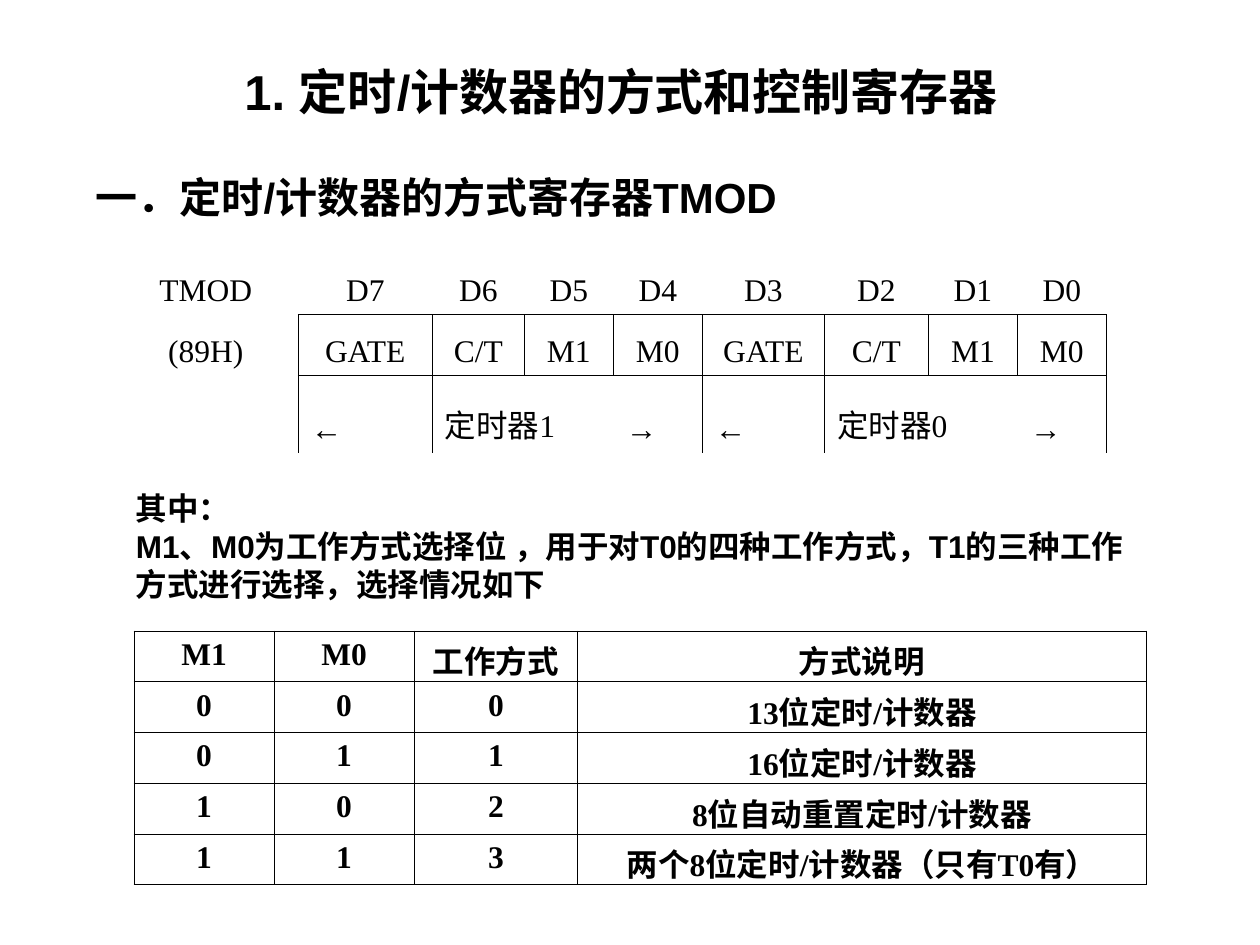
from lxml.etree import SubElement
from pptx import Presentation
from pptx.dml.color import RGBColor
from pptx.enum.text import MSO_ANCHOR, MSO_AUTO_SIZE, PP_ALIGN
from pptx.oxml.ns import qn
from pptx.util import Pt

BIT_NAMES = ["GATE", "C/T", "M1", "M0"]
REGISTER_ROWS = [
    ["TMOD"] + [f"D{bit}" for bit in range(7, -1, -1)],
    ["(89H)"] + BIT_NAMES * 2,
    ["", "←", "定时器1", "", "→", "←", "定时器0", "", "→"],
]
REGISTER_EDGES = [
    [""] + ["B"] * 8,
    ["R"] + ["LRTB"] * 8,
    ["R"] + ["LT", "T", "T", "RT"] * 2,
]
MODE_ROWS = [
    ["M1", "M0", "工作方式", "方式说明"],
    ["0", "0", "0", "13位定时/计数器"],
    ["0", "1", "1", "16位定时/计数器"],
    ["1", "0", "2", "8位自动重置定时/计数器"],
    ["1", "1", "3", "两个8位定时/计数器（只有T0有）"],
]


def color(value):
    return RGBColor.from_string(value)


class SlideBuilder:
    heading_font = "Arial"
    table_font = "Times New Roman"
    ink = "000000"
    plain_table = "{2D5ABB26-0587-4C30-8999-92F81FD0307C}"

    def __init__(self, slide):
        self.slide = slide

    def add_span(self, para, text, size, font, bold, align=PP_ALIGN.LEFT):
        para.alignment = align
        span = para.add_run()
        span.text = text
        span.font.size = Pt(size)
        span.font.name = font
        span.font.bold = bold
        span.font.color.rgb = color(self.ink)

    def fill_box(self, box, place, lines, size, wrap, padding=3.6):
        box.left, box.top, box.width, box.height = map(Pt, place)
        frame = box.text_frame
        frame.word_wrap = wrap
        frame.auto_size = MSO_AUTO_SIZE.SHAPE_TO_FIT_TEXT
        frame.vertical_anchor = MSO_ANCHOR.MIDDLE
        frame.margin_left = frame.margin_right = Pt(7.2)
        frame.margin_top = frame.margin_bottom = Pt(padding)
        for index, line in enumerate(lines):
            para = frame.add_paragraph() if index else frame.paragraphs[0]
            self.add_span(para, line, size, self.heading_font, True)

    def title(self, place, text, size):
        self.fill_box(self.slide.shapes.title, place, [text], size, False, 13.7)

    def text(self, place, lines, size, wrap=False):
        box = self.slide.shapes.add_textbox(*map(Pt, place))
        self.fill_box(box, place, lines, size, wrap)

    def borders(self, cell, edges):
        properties = cell._tc.get_or_add_tcPr()
        for position, edge in enumerate(edges):
            line = SubElement(properties, qn(f"a:ln{edge}"), w=str(Pt(0.45)))
            fill = SubElement(line, qn("a:solidFill"))
            SubElement(fill, qn("a:srgbClr"), val=self.ink)
            properties.insert(position, line)

    def table(self, corner, widths, heights, rows, edges, bold, anchor, merges=()):
        frame = self.slide.shapes.add_table(
            len(rows), len(widths), *map(Pt, (*corner, sum(widths), sum(heights))))
        table = frame.table
        table.first_row = table.horz_banding = False
        table._tbl.tblPr.find(qn("a:tableStyleId")).text = self.plain_table
        for column, width in zip(table.columns, widths):
            column.width = Pt(width)
        for row, height in zip(table.rows, heights):
            row.height = Pt(height)
        for row_index, row in enumerate(rows):
            for column_index, text in enumerate(row):
                cell = table.cell(row_index, column_index)
                cell.vertical_anchor = anchor
                cell.fill.background()
                self.borders(cell, edges[row_index][column_index])
                if text:
                    left = merges and row_index == len(rows) - 1
                    align = PP_ALIGN.LEFT if left else PP_ALIGN.CENTER
                    self.add_span(cell.text_frame.paragraphs[0], text, 18,
                                  self.table_font, bold, align)
        for row_index, first, last in merges:
            table.cell(row_index, first).merge(table.cell(row_index, last))


def main():
    deck = Presentation()
    deck.slide_width, deck.slide_height = Pt(720), Pt(540)
    page = SlideBuilder(deck.slides.add_slide(deck.slide_layouts[5]))
    page.title((132.5, 21, 464.4, 62), "1. 定时/计数器的方式和控制寄存器", 28)
    page.text((47.5, 94.5, 420.5, 36), ["一．定时/计数器的方式寄存器TMOD"], 24)
    page.table(
        (64.8, 145.4), [105.6, 76.7, 52.6, 50.8, 50.9, 69.8, 59.4, 50.9, 50.8],
        [34.5, 34.5, 44.6], REGISTER_ROWS, REGISTER_EDGES, False,
        MSO_ANCHOR.BOTTOM, [(2, 2, 3), (2, 6, 7)])
    page.text(
        (70.6, 275.8, 595.4, 72),
        ["其中：", "M1、M0为工作方式选择位 ，用于对T0的四种工作方式，"
         "T1的三种工作方式进行选择，选择情况如下"], 18, True)
    page.table(
        (76.6, 360.6), [80, 80, 93.6, 324.7], [29] * 5, MODE_ROWS,
        [["LRTB"] * 4] * 5, True, MSO_ANCHOR.TOP)
    deck.save("out.pptx")


if __name__ == "__main__":
    main()
